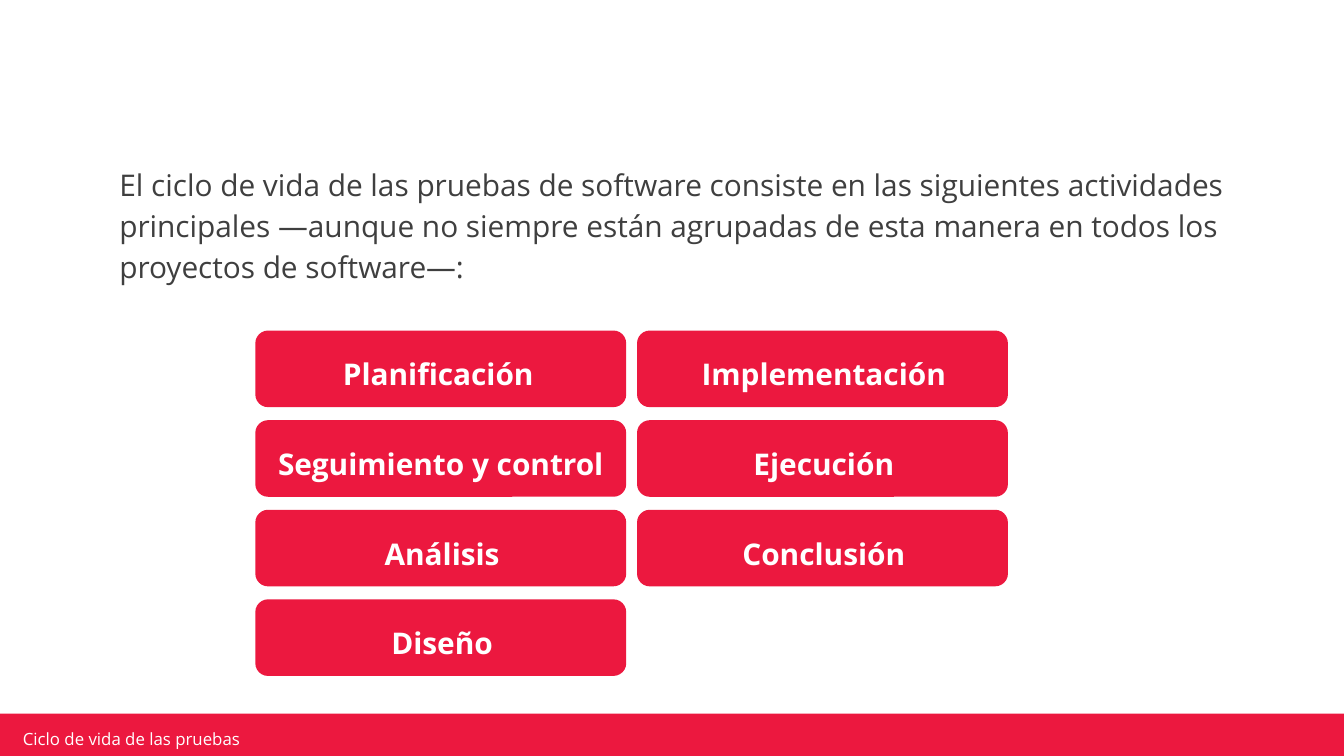
import pptx
import pptx.util
import pptx.dml.color
import pptx.enum.shapes
import pptx.enum.text

Inches = pptx.util.Inches
Pt = pptx.util.Pt
RGBColor = pptx.dml.color.RGBColor
MSO_SHAPE = pptx.enum.shapes.MSO_SHAPE
PP_ALIGN = pptx.enum.text.PP_ALIGN
MSO_ANCHOR = pptx.enum.text.MSO_ANCHOR
MSO_AUTO_SIZE = pptx.enum.text.MSO_AUTO_SIZE

RED = RGBColor(0xEC, 0x18, 0x3F)
WHITE = RGBColor(0xFF, 0xFF, 0xFF)
GRAY = RGBColor(0x3F, 0x3F, 0x3F)
FONT = "Open Sans"

# Slide in 16:9, in inches
SLIDE_W = 10
SLIDE_H = SLIDE_W * 9 / 16

# Grid of activity buttons, in inches
GRID_LEFT, GRID_TOP = 1.9, 2.46
COL_STEP, ROW_STEP = 2.84, 2 / 3
BUTTON_W, BUTTON_H = 2.76, 0.57
LABEL_W, LABEL_H = 2.3, 0.47
LABEL_DX, LABEL_DY = 0.24, 0.05

INTRO = (
    "El ciclo de vida de las pruebas de software consiste en las siguientes "
    "actividades principales —aunque no siempre están agrupadas de esta "
    "manera en todos los proyectos de software—:"
)
COLUMNS = [
    ["Planificación ", "Seguimiento y control", "Análisis", "Diseño"],
    ["Implementación", "Ejecución", "Conclusión"],
]
FULL_WIDTH_LABELS = {"Seguimiento y control"}


def add_box(s, kind, x, y, w, h):
    """Add a red shape without outline or shadow."""
    sp = s.shapes.add_shape(kind, Inches(x), Inches(y), Inches(w), Inches(h))
    sp.shadow.inherit = False
    sp.fill.solid()
    sp.fill.fore_color.rgb = RED
    sp.line.fill.background()
    return sp


def add_text(s, text, x, y, w, h, size, color, bold=False, margins=(0.1, 0.1)):
    """Add a wrapped text box with one run; return its frame and paragraph."""
    tf = s.shapes.add_textbox(Inches(x), Inches(y), Inches(w), Inches(h)).text_frame
    tf.word_wrap = True
    tf.margin_left = tf.margin_right = Inches(margins[0])
    tf.margin_top = tf.margin_bottom = Inches(margins[1])
    p = tf.paragraphs[0]
    r = p.add_run()
    r.text = text
    r.font.name = FONT
    r.font.size = Pt(size)
    r.font.bold = bold
    r.font.color.rgb = color
    return tf, p


def space_body(p):
    p.line_spacing = 1.15
    p.space_before = Pt(6)


def add_footer(s):
    add_box(s, MSO_SHAPE.RECTANGLE, -0.02, 5.31, 10.03, 0.36)
    tf, p = add_text(s, "Ciclo de vida de las pruebas", 0.12, 5.42, 2.39, 0.15,
                     9, WHITE, margins=(0.05, 0.02))
    tf.vertical_anchor = MSO_ANCHOR.MIDDLE


def add_intro(s):
    tf, p = add_text(s, INTRO, 0.79, 1.1, 8.43, 1.35, 16, GRAY)
    space_body(p)


def add_activity(s, name, col, row):
    x = GRID_LEFT + col * COL_STEP
    y = GRID_TOP + row * ROW_STEP
    sp = add_box(s, MSO_SHAPE.ROUNDED_RECTANGLE, x, y, BUTTON_W, BUTTON_H)
    sp.adjustments[0] = 1 / 6
    dx, w = (0, BUTTON_W) if name in FULL_WIDTH_LABELS else (LABEL_DX, LABEL_W)
    tf, p = add_text(s, name, x + dx, y + LABEL_DY, w, LABEL_H, 16, WHITE, bold=True)
    tf.auto_size = MSO_AUTO_SIZE.SHAPE_TO_FIT_TEXT
    p.alignment = PP_ALIGN.CENTER
    space_body(p)


def main():
    prs = pptx.Presentation()
    prs.slide_width, prs.slide_height = Inches(SLIDE_W), Inches(SLIDE_H)
    s = prs.slides.add_slide(prs.slide_layouts[6])

    # Footer band and introduction
    add_footer(s)
    add_intro(s)

    # Activities, column by column
    for col, names in enumerate(COLUMNS):
        for row, name in enumerate(names):
            add_activity(s, name, col, row)

    prs.save("out.pptx")


if __name__ == "__main__":
    main()
